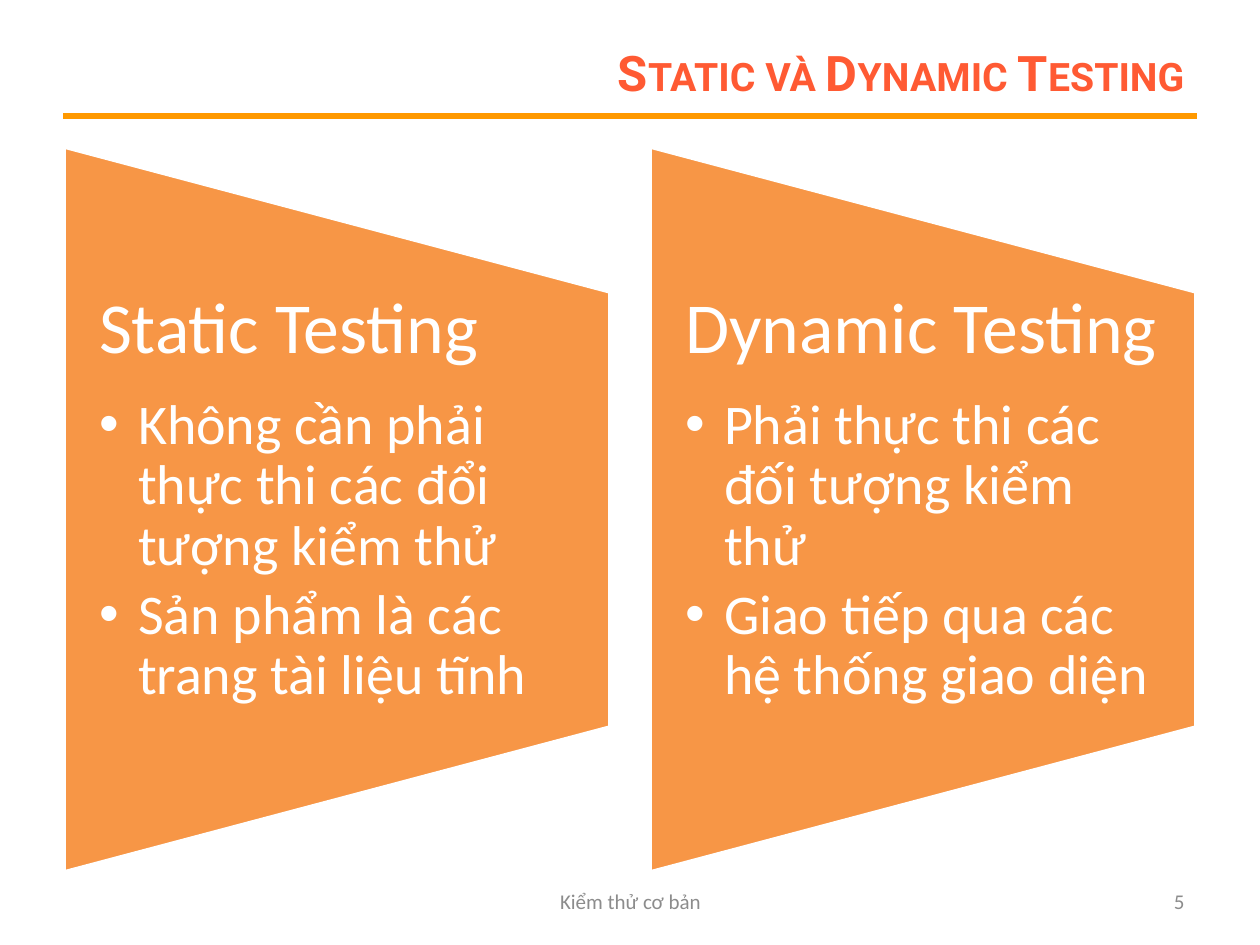
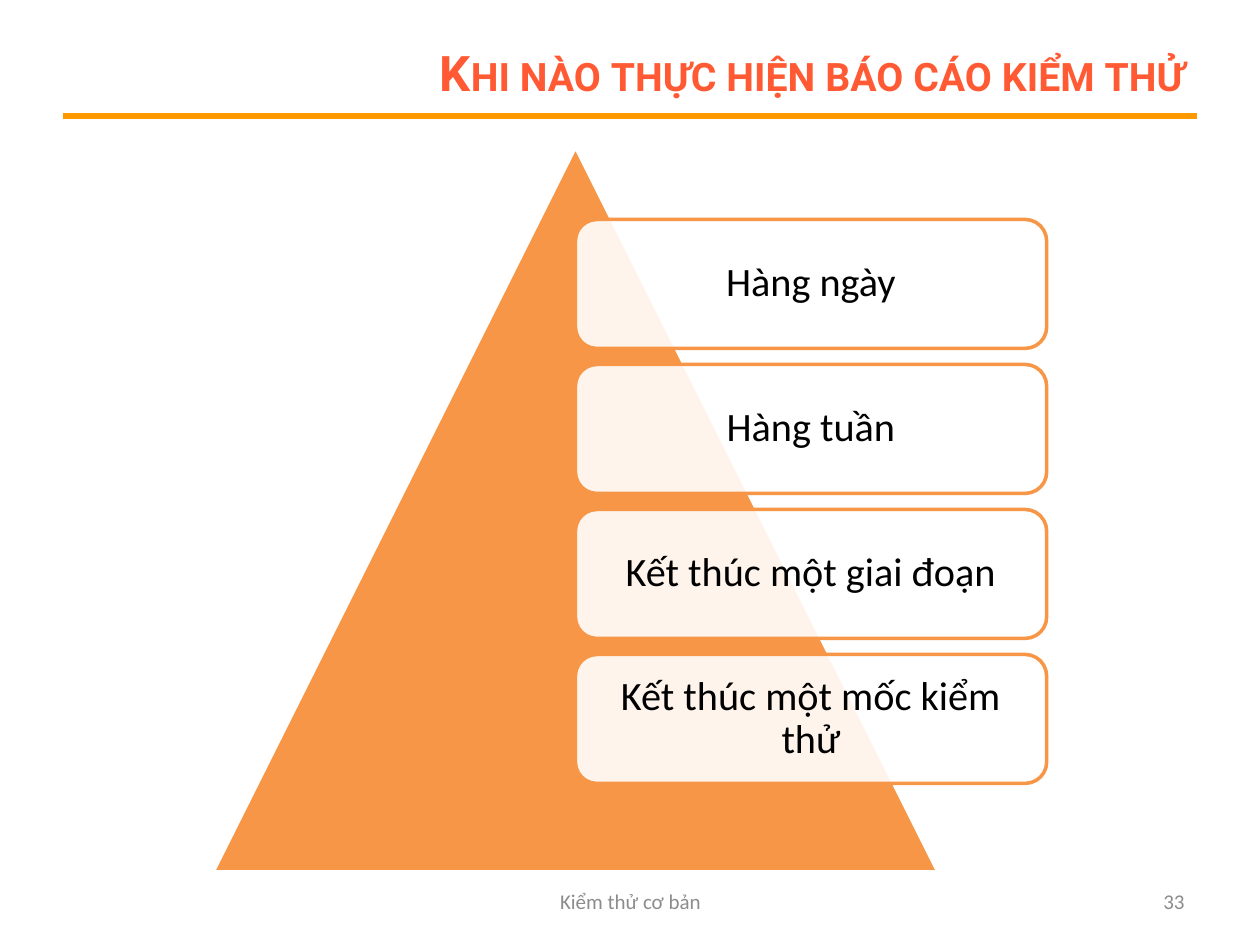
import pptx
import pptx.dml.color
import pptx.enum.shapes
import pptx.enum.text
import pptx.oxml.ns
import pptx.util
from lxml import etree

SHAPE = pptx.enum.shapes.MSO_SHAPE
ALIGN = pptx.enum.text.PP_ALIGN
ANCHOR = pptx.enum.text.MSO_ANCHOR
qn = pptx.oxml.ns.qn

EMU_PER_PX = 914400 / 126
ORANGE, RULE, TITLE = "F79646", "FF9900", "FF5A33"
WHITE, BLACK, GREY = "FFFFFF", "000000", "8C8C8C"
BODY = (64, 147, 1132, 725)

COMPARISON = [
    ("Static Testing",
     ["Không cần phải thực thi các đổi tượng kiểm thử",
      "Sản phẩm là các trang tài liệu tĩnh"]),
    ("Dynamic Testing",
     ["Phải thực thi các đối tượng kiểm thử",
      "Giao tiếp qua các hệ thống giao diện"]),
]
REPORT_TIMES = ["Hàng ngày", "Hàng tuần", "Kết thúc một giai đoạn",
                "Kết thúc một mốc kiểm thử"]


def px(n):
    """Turn pixels into EMU."""
    return pptx.util.Emu(round(n * EMU_PER_PX))


def rgb(code):
    """Turn a hex string into a colour."""
    return pptx.dml.color.RGBColor.from_string(code)


def style(p, size, color, align=ALIGN.LEFT, font="Calibri", bold=False):
    """Set the font and alignment of a paragraph."""
    p.alignment = align
    p.font.name, p.font.size, p.font.bold = font, pptx.util.Pt(size), bold
    p.font.color.rgb = rgb(color)


def add_text(s, box, anchor=ANCHOR.MIDDLE):
    """Add a wrapping text box and return its text frame."""
    tf = s.shapes.add_textbox(*map(px, box)).text_frame
    tf.word_wrap = True
    tf.vertical_anchor = anchor
    return tf


def add_label(s, box, text, *args, **kwargs):
    """Add a one-paragraph text box and return the paragraph."""
    p = add_text(s, box).paragraphs[0]
    p.text = text
    style(p, *args, **kwargs)
    return p


def add_box(s, kind, box, fill, line):
    """Add a flat preset shape with a 2 pt outline."""
    sp = s.shapes.add_shape(kind, *map(px, box))
    sp.shadow.inherit = False
    sp.fill.solid()
    sp.fill.fore_color.rgb = rgb(fill)
    sp.line.color.rgb = rgb(line)
    sp.line.width = pptx.util.Pt(2)
    return sp


def add_bullet(p, indent):
    """Give a paragraph a hanging round bullet."""
    pPr = p._p.get_or_add_pPr()
    pPr.set("marL", str(px(indent)))
    pPr.set("indent", str(-px(indent)))
    font = etree.Element(qn("a:buFont"), typeface="Arial")
    char = etree.Element(qn("a:buChar"), char="•")
    pPr.find(qn("a:defRPr")).addprevious(font)
    font.addnext(char)


def add_frame(prs, title, number):
    """Add a slide with its title, rule and footer."""
    s = prs.slides.add_slide(prs.slide_layouts[6])
    rule = s.shapes.add_connector(pptx.enum.shapes.MSO_CONNECTOR.STRAIGHT,
                                  px(63), px(116), px(1197), px(116))
    rule.line.color.rgb = rgb(RULE)
    rule.line.width = pptx.util.Pt(3)
    etree.SubElement(rule._element.spPr, qn("a:effectLst"))
    p = add_label(s, (283, 38, 914, 67), title, 28, TITLE, ALIGN.RIGHT,
                  font="Roboto", bold=True)
    p._p.pPr.find(qn("a:defRPr")).set("cap", "small")
    add_label(s, (431, 876, 399, 50), "Kiểm thử cơ bản", 12, GREY, ALIGN.CENTER)
    add_label(s, (903, 876, 294, 50), str(number), 12, GREY, ALIGN.RIGHT)
    return s


def add_panel(s, box, heading, points):
    """Add a panel tapering to the right, with a heading and bullets."""
    x, y, w, h = box
    sp = add_box(s, SHAPE.FLOWCHART_MANUAL_OPERATION,
                 (x + (w - h) / 2, y + (h - w) / 2, h, w), ORANGE, WHITE)
    sp.rotation = 270
    tf = add_text(s, (x, y + h / 5, w, h * 3 / 5), ANCHOR.TOP)
    tf.margin_left = tf.margin_right = px(35)
    tf.margin_top = tf.margin_bottom = 0
    for i, text in enumerate([heading, *points]):
        p = tf.add_paragraph() if i else tf.paragraphs[0]
        p.text = text
        p.line_spacing = 0.9
        p.space_after = pptx.util.Pt(5 if i else 15)
        style(p, 32 if i else 41, WHITE)
        if i:
            add_bullet(p, 39)


def add_comparison(s, box, panels, gap=40):
    """Place equal panels side by side."""
    x, y, w, h = box
    width = (w - gap * (len(panels) - 1)) / len(panels)
    for i, (heading, points) in enumerate(panels):
        add_panel(s, (x + i * (width + gap), y, width, h), heading, points)


def add_card(s, box, text):
    """Add a translucent rounded card with centred text."""
    sp = add_box(s, SHAPE.ROUNDED_RECTANGLE, box, WHITE, ORANGE)
    color = sp._element.spPr.find(qn("a:solidFill"))[0]
    etree.SubElement(color, qn("a:alpha"), val="90000")
    tf = sp.text_frame
    tf.word_wrap = True
    tf.vertical_anchor = ANCHOR.MIDDLE
    tf.margin_left = tf.margin_right = tf.margin_top = tf.margin_bottom = px(12)
    p = tf.paragraphs[0]
    p.text = text
    p.line_spacing = 0.9
    style(p, 23, BLACK, ALIGN.CENTER)


def add_pyramid(s, box, labels):
    """Add a triangle with a column of cards from its axis rightwards."""
    x, y, w, h = box
    left = x + 149
    add_box(s, SHAPE.ISOSCELES_TRIANGLE, (left, y, h, h), ORANGE, WHITE)
    card_h, pitch = 129, 145
    for i, text in enumerate(labels):
        add_card(s, (left + h / 2, y + h / 10 + i * pitch, h * 0.65, card_h), text)


def main():
    """Build both slides and save them."""
    prs = pptx.Presentation()
    prs.slide_width, prs.slide_height = px(1260), px(945)
    add_comparison(add_frame(prs, "Static và Dynamic Testing", 5), BODY, COMPARISON)
    add_pyramid(add_frame(prs, "Khi nào thực hiện báo cáo kiểm thử", 33),
                BODY, REPORT_TIMES)
    prs.save("out.pptx")


if __name__ == "__main__":
    main()
